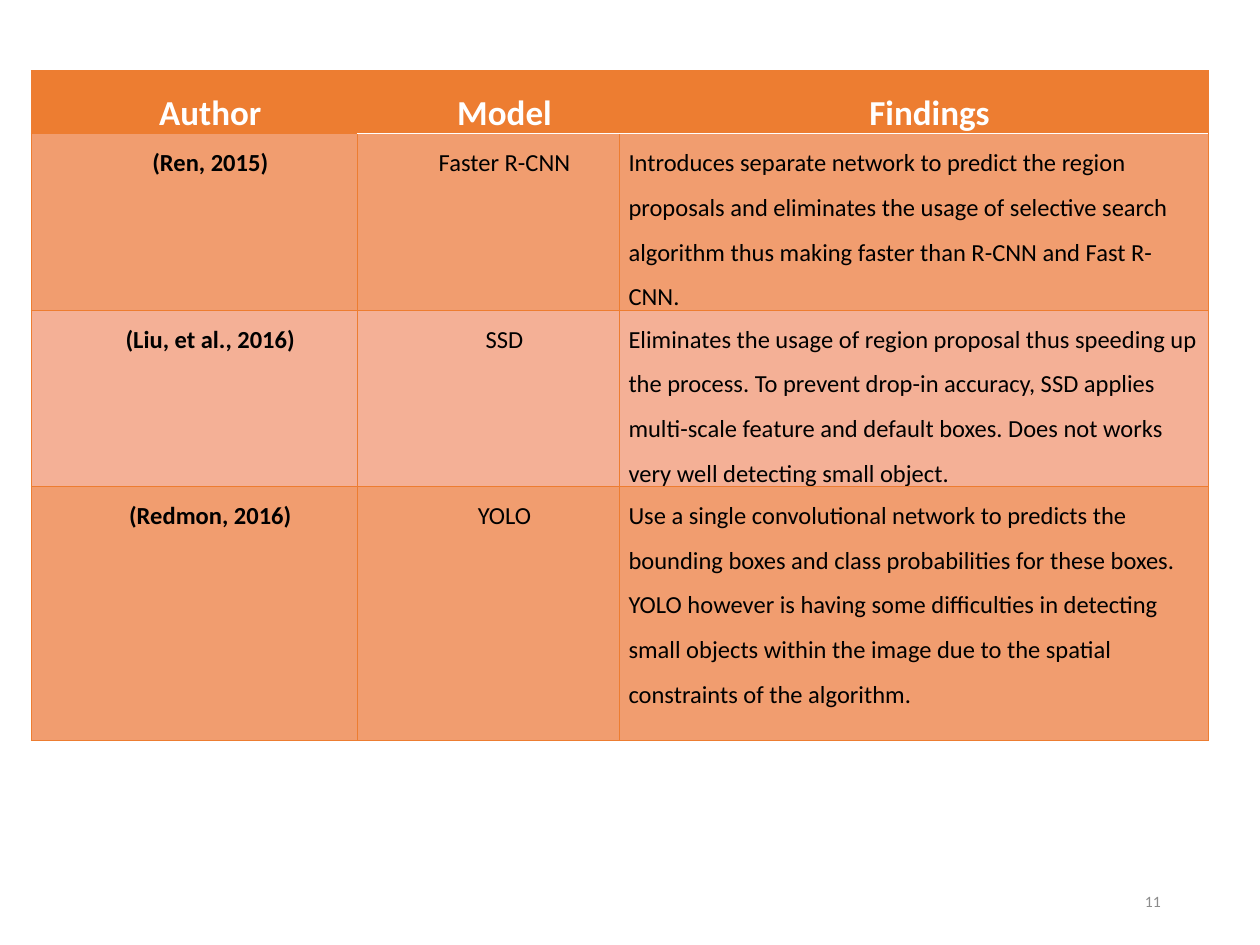
from dataclasses import dataclass

from lxml import etree
from pptx import Presentation
from pptx.dml.color import RGBColor
from pptx.enum.text import MSO_ANCHOR, PP_ALIGN
from pptx.oxml.ns import qn
from pptx.util import Cm, Pt

CENTER = PP_ALIGN.CENTER
LEFT = PP_ALIGN.LEFT
RIGHT = PP_ALIGN.RIGHT
MIDDLE = MSO_ANCHOR.MIDDLE


@dataclass(frozen=True)
class Theme:
    font: str = "Calibri"
    accent: str = "ED7D31"
    odd_row: str = "F19D6F"
    even_row: str = "F4B096"
    white: str = "FFFFFF"
    black: str = "000000"
    gray: str = "8C8C8C"
    header_size: int = 20
    body_size: int = 14
    number_size: int = 9
    thin: float = 0.5
    thick: float = 1


THEME = Theme()

COLUMN_WIDTHS = (6.58, 5.28, 11.86)
ROW_HEIGHTS = (0.69, 2.26, 3.05, 5.13)
HEADER = ("Author", "Model", "Findings")
STUDIES = (
    ("(Ren, 2015)", "Faster R-CNN",
     "Introduces separate network to predict the region proposals and eliminates "
     "the usage of selective search algorithm thus making faster than R-CNN and "
     "Fast R-CNN."),
    ("(Liu, et al., 2016)", "SSD",
     "Eliminates the usage of region proposal thus speeding up the process. To "
     "prevent drop-in accuracy, SSD applies multi-scale feature and default boxes. "
     "Does not works very well detecting small object."),
    ("(Redmon, 2016)", "YOLO",
     "Use a single convolutional network to predicts the bounding boxes and class "
     "probabilities for these boxes. YOLO however is having some difficulties in "
     "detecting small objects within the image due to the spatial constraints of "
     "the algorithm."),
)


def write_text(text_frame, text, size, color, bold=False, alignment=LEFT):
    text_frame.text = text
    paragraph = text_frame.paragraphs[0]
    paragraph.alignment = alignment
    font = paragraph.runs[0].font
    font.name = THEME.font
    font.size = Pt(size)
    font.bold = bold
    font.color.rgb = RGBColor.from_string(color)
    return paragraph


def set_borders(cell, **special):
    """Draw thin accent borders; special maps a side (L, R, T, B) to (color, width)."""
    properties = cell._tc.get_or_add_tcPr()
    for side in "LRTB":
        color, width = special.get(side, (THEME.accent, THEME.thin))
        line = etree.SubElement(properties, qn(f"a:ln{side}"), w=str(Pt(width)))
        fill = etree.SubElement(line, qn("a:solidFill"))
        etree.SubElement(fill, qn("a:srgbClr"), val=color)


def format_cell(cell, text, row, column):
    is_header = row == 0
    margin = Cm(0.1 if is_header else 0.18)
    cell.margin_left = cell.margin_right = margin
    cell.margin_top = cell.margin_bottom = 0

    centered = is_header or column < 2
    paragraph = write_text(
        cell.text_frame, text,
        size=THEME.header_size if is_header else THEME.body_size,
        color=THEME.white if is_header else THEME.black,
        bold=is_header or column == 0,
        alignment=CENTER if centered else LEFT)
    paragraph.line_spacing = 1.5
    if centered:
        paragraph_properties = paragraph._p.get_or_add_pPr()
        paragraph_properties.set("marL", str(Cm(0.64)))
        paragraph_properties.set("indent", "0")

    rule = (THEME.white, THEME.thick)
    special = {}
    if column > 0 and row < 2:
        special["B" if is_header else "T"] = rule
    set_borders(cell, **special)

    band = THEME.odd_row if row % 2 else THEME.even_row
    cell.fill.solid()
    cell.fill.fore_color.rgb = RGBColor.from_string(THEME.accent if is_header else band)


def add_study_table(slide):
    rows = (HEADER, *STUDIES)
    table = slide.shapes.add_table(
        len(rows), len(HEADER), Cm(0.63), Cm(1.42),
        Cm(sum(COLUMN_WIDTHS)), Cm(sum(ROW_HEIGHTS))).table
    table.horz_banding = False
    for column, width in zip(table.columns, COLUMN_WIDTHS):
        column.width = Cm(width)
    for row, height in zip(table.rows, ROW_HEIGHTS):
        row.height = Cm(height)
    for row, texts in enumerate(rows):
        for column, text in enumerate(texts):
            format_cell(table.cell(row, column), text, row, column)


def add_slide_number(slide, number):
    box = slide.shapes.add_textbox(Cm(17.93), Cm(17.65), Cm(5.72), Cm(1.02))
    box.text_frame.word_wrap = True
    box.text_frame.vertical_anchor = MIDDLE
    write_text(box.text_frame, number, THEME.number_size, THEME.gray, alignment=RIGHT)


def main():
    presentation = Presentation()
    presentation.slide_width = Cm(25.4)
    presentation.slide_height = Cm(19.05)
    slide = presentation.slides.add_slide(presentation.slide_layouts[6])
    add_slide_number(slide, "11")
    add_study_table(slide)
    presentation.save("out.pptx")


if __name__ == "__main__":
    main()
